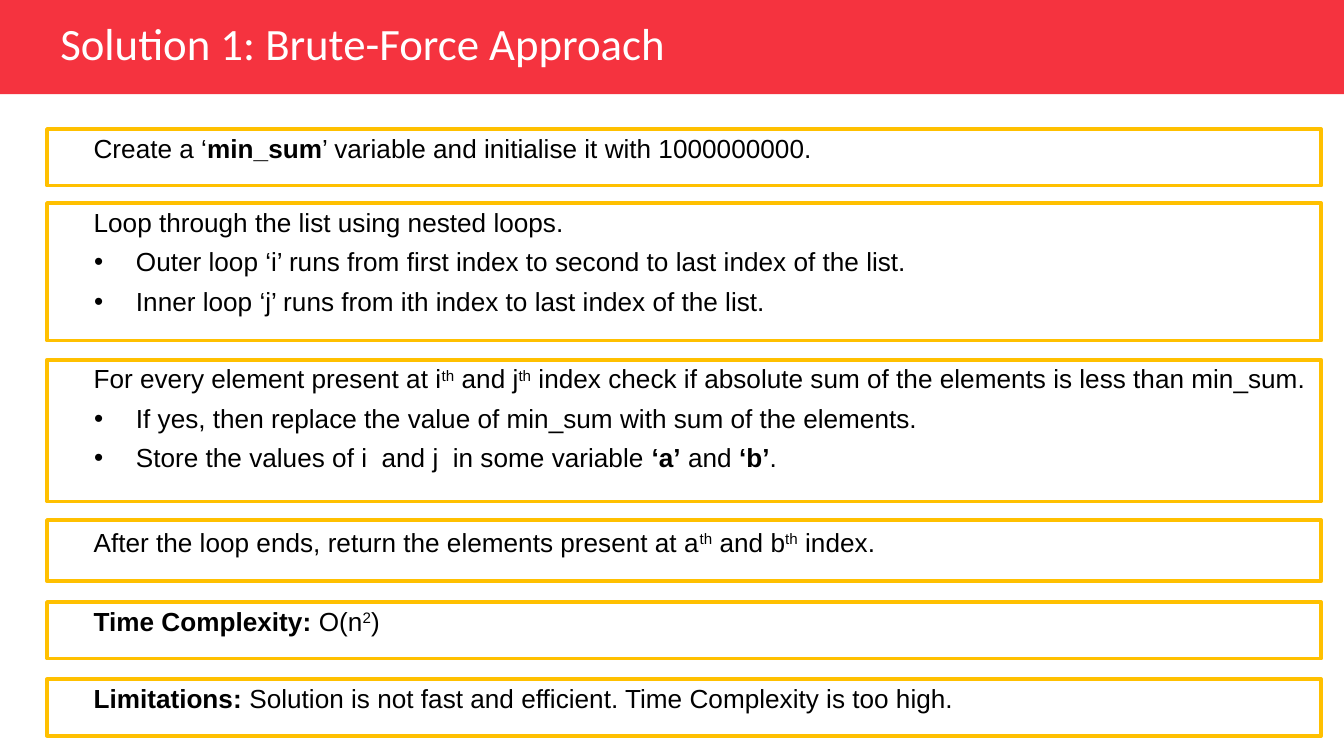
from lxml import etree
from pptx import Presentation
from pptx.dml.color import RGBColor
from pptx.enum.shapes import MSO_SHAPE
from pptx.enum.text import MSO_ANCHOR, PP_ALIGN
from pptx.oxml.ns import qn
from pptx.util import Cm, Pt

RECT = MSO_SHAPE.RECTANGLE
LEFT = PP_ALIGN.LEFT
TOP, MIDDLE = MSO_ANCHOR.TOP, MSO_ANCHOR.MIDDLE

HEX = {"red": "F5333F", "gold": "FFC000", "white": "FFFFFF", "black": "000000"}

# Run styles: "" plain, "b" bold, "up" superscript, "big" larger
# Each step: top, height, paragraphs; all but the first are bullets
STEPS = [
    (2.44, 1.07, [[("Create a ‘", ""), ("min_sum", "b"),
                   ("’ variable and initialise it with 1000000000.", "")]]),
    (3.84, 2.6, [
        [("Loop through the list using nested loops.", "")],
        [("Outer loop ‘i’ runs from first index to second to last index of the list.", "")],
        [("Inner loop ‘j’ runs from ith index to last index of the list.", "")]]),
    (6.8, 2.68, [
        [("For every element present at i", ""), ("th", "up"), (" and j", ""), ("th", "up"),
         (" index check if absolute sum of the elements is less than min_sum.", "")],
        [("If yes, then replace the value of min_sum with sum of the elements.", "")],
        [("Store the values of i  and j  in some variable ", ""), ("‘a’", "b"),
         (" and ", ""), ("‘b’", "b"), (".", "")]]),
    (9.83, 1.16, [[("After the loop ends, return the elements present at a", ""), ("th", "up"),
                   (" and b", ""), ("th", "up"), (" index.", ""), (" ", "big")]]),
    (11.38, 1.07, [[("Time Complexity: ", "b"), ("O(n", ""), ("2", "up"), (")", "")]]),
    (12.84, 1.07, [[("Limitations: ", "b"),
                    ("Solution is not fast and efficient. Time Complexity is too high.", "")]]),
]


def tint(name):
    return RGBColor.from_string(HEX[name])


def add_rect(slide, box, fill, line=None):
    shape = slide.shapes.add_shape(RECT, *map(Cm, box))
    shape.shadow.inherit = False
    shape.fill.solid()
    shape.fill.fore_color.rgb = tint(fill)
    if line:
        shape.line.color.rgb = tint(line)
        shape.line.width = Pt(2)
    else:
        shape.line.fill.background()
    return shape


def set_font(run, face, size, color):
    run.font.name = face
    run.font.size = Pt(size)
    run.font.color.rgb = tint(color)


def set_indent(para, margin, hang, bullet):
    props = para._p.get_or_add_pPr()
    props.set("marL", str(Cm(margin)))
    props.set("indent", str(-Cm(hang)))
    if bullet:
        etree.SubElement(props, qn("a:buFont")).set("typeface", "Arial")
        etree.SubElement(props, qn("a:buChar")).set("char", "•")
    else:
        etree.SubElement(props, qn("a:buNone"))


def add_header(slide, box, title):
    # Red band with the title inside it
    x, y, w, h = box
    add_rect(slide, box, "red")
    area = slide.shapes.add_textbox(Cm(x + 0.89), Cm(y + 0.33), Cm(w / 2), Cm(h - 0.71))
    frame = area.text_frame
    frame.word_wrap = True
    frame.vertical_anchor = MIDDLE
    frame.text = title
    para = frame.paragraphs[0]
    para.line_spacing = 0.9
    set_font(para.runs[0], "Calibri", 24, "white")


def add_step(slide, box, lines):
    # Gold frame: a lead line, then bullets
    frame = add_rect(slide, box, "white", "gold").text_frame
    frame.word_wrap = True
    frame.vertical_anchor = TOP
    for i, parts in enumerate(lines):
        para = frame.add_paragraph() if i else frame.paragraphs[0]
        para.alignment = LEFT
        para.line_spacing = 0.9
        para.space_before = Pt(6)
        set_indent(para, 1.43 if i else 1.27, 0.79 if i else 0.64, bool(i))
        for text, style in parts:
            run = para.add_run()
            run.text = text
            set_font(run, "Arial", 16 if style == "big" else 14, "black")
            run.font.bold = style == "b"
            if style == "up":
                run._r.get_or_add_rPr().set("baseline", "30000")


def main():
    deck = Presentation()
    deck.slide_width, deck.slide_height = Cm(25.4), Cm(14.29)
    slide = deck.slides.add_slide(deck.slide_layouts[6])
    add_header(slide, (0, 0, 25.4, 1.78), "Solution 1: Brute-Force Approach")
    for top, height, lines in STEPS:
        add_step(slide, (0.89, top, 24.08, height), lines)
    deck.save("out.pptx")


if __name__ == "__main__":
    main()
